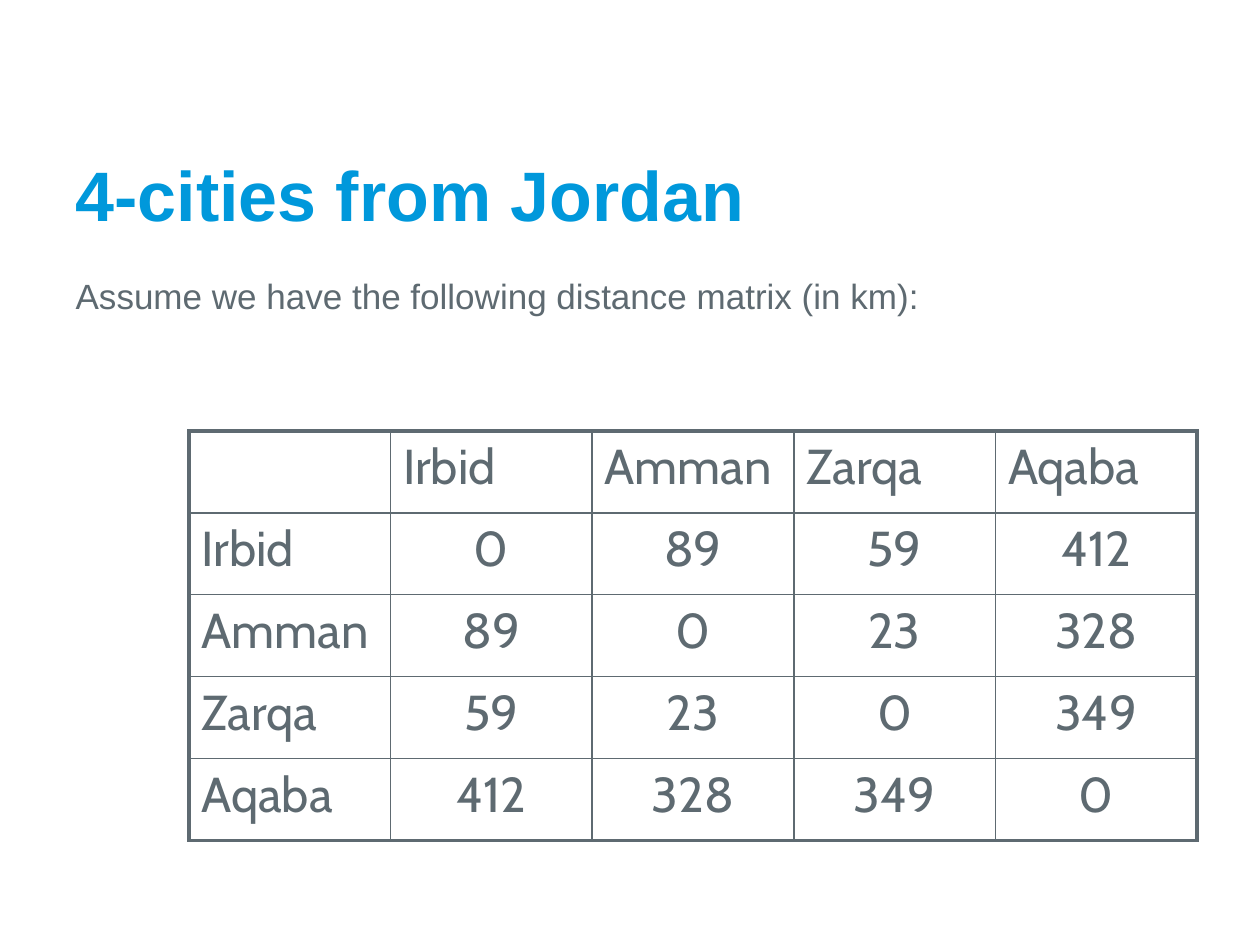
"""Build the slide with the distance matrix of four cities in Jordan."""
import lxml.etree
import pptx
import pptx.dml.color
import pptx.enum.text
import pptx.oxml
import pptx.oxml.ns
import pptx.util

ALIGN = pptx.enum.text.PP_ALIGN
ANCHOR = pptx.enum.text.MSO_ANCHOR
BLUE, GREY = "0098DB", "5E6A71"
CITIES = ["Irbid", "Amman", "Zarqa", "Aqaba"]
DISTANCES = [
    [0, 89, 59, 412],
    [89, 0, 23, 328],
    [59, 23, 0, 349],
    [412, 328, 349, 0],
]


def color(hex_text):
    """Turn a hex string into a colour."""
    return pptx.dml.color.RGBColor.from_string(hex_text)


def apply(target, formats):
    """Set each attribute of the target from a dict."""
    for name, value in formats.items():
        setattr(target, name, value)


class DistanceSlide:
    """Hold the style and the current slide."""

    FONTS = {
        "title": ({"name": "Arial", "size": pptx.util.Pt(40), "bold": True}, BLUE),
        "body": ({"name": "Arial", "size": pptx.util.Pt(20), "bold": False}, GREY),
        "cell": ({"name": "Cabin", "size": pptx.util.Pt(28), "bold": False}, GREY),
    }
    INNER_LINE, OUTER_LINE = pptx.util.Pt(1), pptx.util.Pt(2.25)

    def __init__(self, deck):
        """Add a title and content slide to the deck."""
        self.width, self.height = deck.slide_width, deck.slide_height
        self.slide = deck.slides.add_slide(deck.slide_layouts[1])

    def box(self, left, top, width, height):
        """Turn shares of the slide's size into lengths."""
        return {
            "left": round(left * self.width),
            "top": round(top * self.height),
            "width": round(width * self.width),
            "height": round(height * self.height),
        }

    def set_text(self, frame, text, role, align=ALIGN.LEFT):
        """Fill a frame with one paragraph in the style of its role."""
        frame.text = text
        paragraph = frame.paragraphs[0]
        formats, hex_text = self.FONTS[role]
        apply(paragraph, {"alignment": align, "space_before": pptx.util.Pt(0)})
        if role == "body":
            paragraph.line_spacing = 0.9
            properties = paragraph._p.get_or_add_pPr()
            indent = pptx.util.Inches(0.38)
            properties.set("marL", str(indent))
            properties.set("indent", str(-indent))
            lxml.etree.SubElement(properties, pptx.oxml.ns.qn("a:buNone"))
        for run in paragraph.runs:
            apply(run.font, formats)
            run.font.color.rgb = color(hex_text)

    def placeholder(self, index, text, role, area, anchor):
        """Move, format and fill a placeholder of the layout."""
        holder = self.slide.placeholders[index]
        apply(holder, self.box(*area))
        apply(holder.text_frame, {
            "word_wrap": True,
            "auto_size": pptx.enum.text.MSO_AUTO_SIZE.NONE,
            "vertical_anchor": anchor,
        })
        self.set_text(holder.text_frame, text, role)

    def border(self, cell, outer_sides):
        """Draw the four sides of a cell, heavier on the outer sides."""
        properties = cell._tc.get_or_add_tcPr()
        for position, side in enumerate("LRTB"):
            width = self.OUTER_LINE if side in outer_sides else self.INNER_LINE
            properties.insert(position, pptx.oxml.parse_xml(
                f'<a:ln{side} {pptx.oxml.ns.nsdecls("a")} w="{width}"><a:solidFill>'
                f'<a:srgbClr val="{GREY}"/></a:solidFill></a:ln{side}>'
            ))

    def matrix(self, names, values, area):
        """Add a table with the names on both its top and left side."""
        rows = [["", *names]] + [[name, *line] for name, line in zip(names, values)]
        last = len(names)
        table = self.slide.shapes.add_table(last + 1, last + 1, **self.box(*area)).table
        apply(table, {"first_row": False, "horz_banding": False})
        for row, line in enumerate(rows):
            for column, value in enumerate(line):
                cell = table.cell(row, column)
                cell.fill.background()
                align = ALIGN.CENTER if row and column else ALIGN.LEFT
                self.set_text(cell.text_frame, str(value), "cell", align)
                edges = {"L": column == 0, "R": column == last, "T": row == 0, "B": row == last}
                self.border(cell, [side for side, outer in edges.items() if outer])


def main():
    """Build and save the deck."""
    deck = pptx.Presentation()
    apply(deck, {"slide_width": pptx.util.Inches(10), "slide_height": pptx.util.Inches(7.5)})
    page = DistanceSlide(deck)
    page.placeholder(0, "4-cities from Jordan", "title", (0.05, 0.42 / 7.5, 0.9, 0.2), ANCHOR.BOTTOM)
    page.placeholder(1, "Assume we have the following distance matrix (in km):", "body",
                     (0.05, 2.17 / 7.5, 0.83, 1.08 / 7.5), ANCHOR.TOP)
    page.matrix(CITIES, DISTANCES, (0.15, 3.42 / 7.5, 0.8, 3.25 / 7.5))
    deck.save("out.pptx")


if __name__ == "__main__":
    main()
